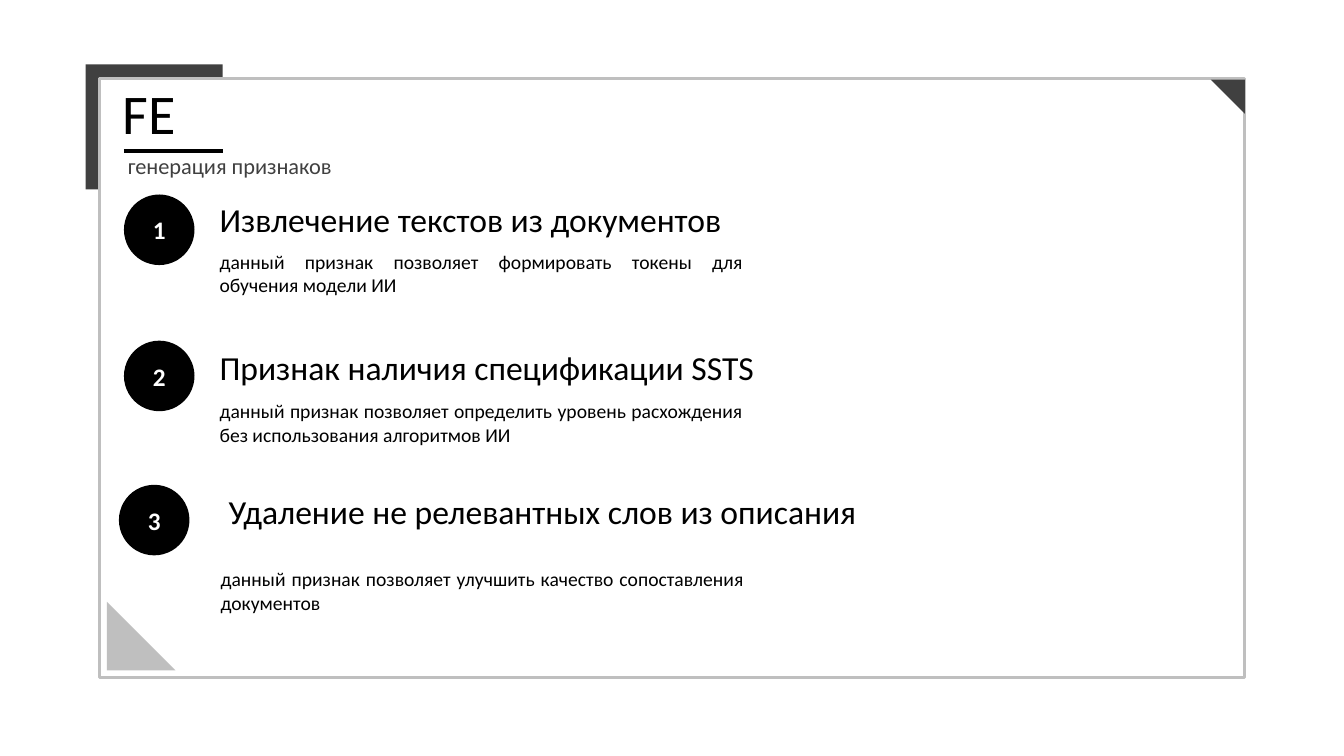
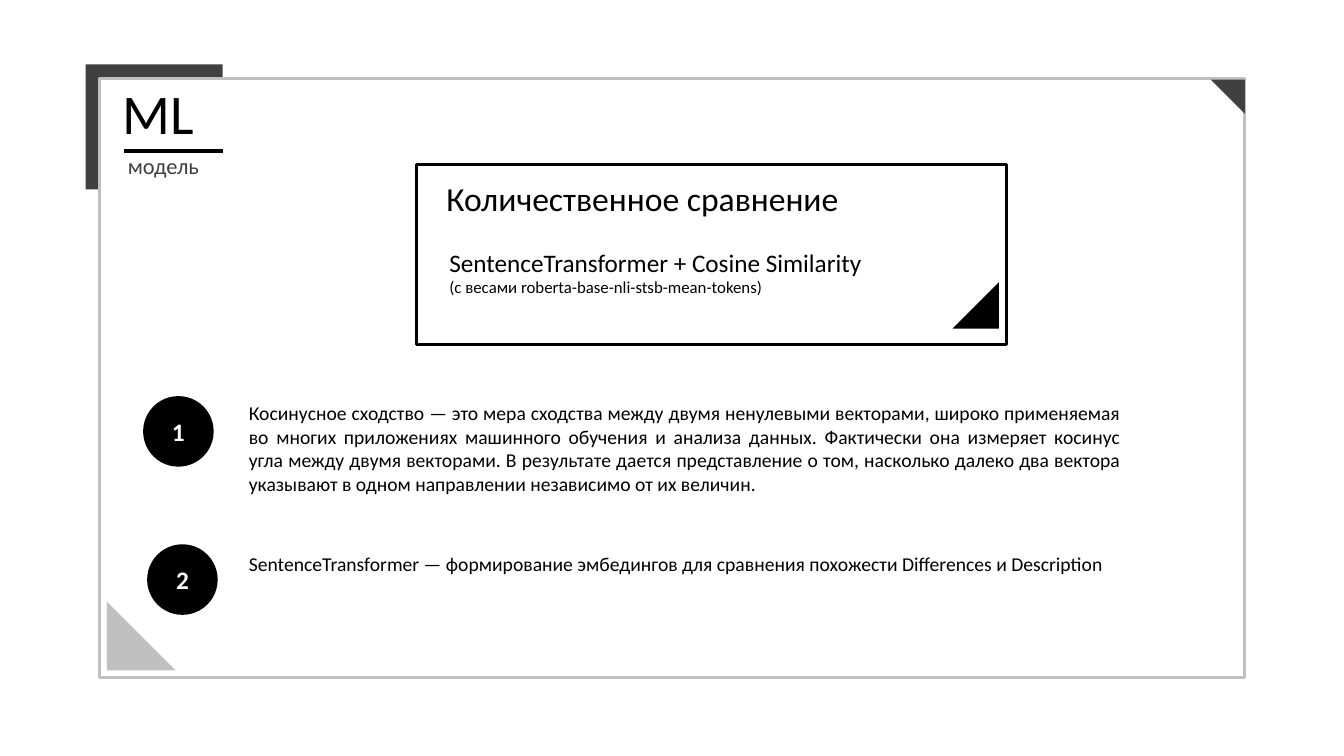
from lxml.etree import SubElement
from pptx import Presentation
from pptx.dml.color import RGBColor
from pptx.enum.shapes import MSO_CONNECTOR, MSO_SHAPE
from pptx.enum.text import MSO_ANCHOR, PP_ALIGN
from pptx.oxml.ns import qn
from pptx.util import Inches, Pt

# Grid of square cells, ten to the inch
COLUMNS, ROWS = 133.33, 75
FONT = "Calibri"
BLACK, WHITE, DARK, LIGHT = "000000", "FFFFFF", "404040", "BFBFBF"
TITLE, HEADING, LEAD, SUBTITLE, BODY, NOTE = 40, 24, 18, 16, 14, 12
BADGE = 7
TITLE_LEFT = 12.3


def cells(count):
    return Inches(count / 10)


def color(hex_code):
    return RGBColor.from_string(hex_code)


def add_span(para, text, size, hex_code=BLACK, bold=False):
    span = para.add_run()
    span.text = text
    span.font.name = FONT
    span.font.size = Pt(size)
    span.font.bold = bold
    span.font.color.rgb = color(hex_code)


def add_text(page, area, lines, hex_code=BLACK, align=PP_ALIGN.LEFT):
    """Add a text box with one paragraph for each (text, size) pair."""
    frame = page.shapes.add_textbox(*map(cells, area)).text_frame
    frame.word_wrap = True
    for index, (text, size) in enumerate(lines):
        para = frame.paragraphs[0] if index == 0 else frame.add_paragraph()
        para.alignment = align
        add_span(para, text, size, hex_code)


def add_figure(page, kind, area, fill, outline=None, rotation=0):
    """Add a flat preset shape, with a 2 pt outline if a colour is given."""
    figure = page.shapes.add_shape(kind, *map(cells, area))
    figure.shadow.inherit = False
    figure.rotation = rotation
    figure.fill.solid()
    figure.fill.fore_color.rgb = color(fill)
    if outline:
        figure.line.color.rgb = color(outline)
        figure.line.width = Pt(2)
    else:
        figure.line.fill.background()
    return figure


def add_corner(page, left, top, side, fill, rotation=0):
    add_figure(page, MSO_SHAPE.RIGHT_TRIANGLE, (left, top, side, side), fill, rotation=rotation)


def add_rule(page, left, right, top):
    rule = page.shapes.add_connector(MSO_CONNECTOR.STRAIGHT, *map(cells, (left, top, right, top)))
    rule.line.color.rgb = color(BLACK)
    rule.line.width = Pt(3)
    SubElement(rule._element.spPr, qn("a:effectLst"))


def add_badge(page, left, top, number):
    badge = add_figure(page, MSO_SHAPE.OVAL, (left, top, BADGE, BADGE), BLACK)
    frame = badge.text_frame
    frame.vertical_anchor = MSO_ANCHOR.MIDDLE
    para = frame.paragraphs[0]
    para.alignment = PP_ALIGN.CENTER
    add_span(para, str(number), LEAD, WHITE, bold=True)


def add_framed_page(deck, title, subtitle):
    """Add a page with the frame, corners and title block that all pages share."""
    page = deck.slides.add_slide(deck.slide_layouts[6])
    add_figure(page, MSO_SHAPE.RECTANGLE, (8.5, 6.4, 13.6, 12.4), DARK)
    add_figure(page, MSO_SHAPE.RECTANGLE, (9.9, 7.8, 113.6, 59.4), WHITE, LIGHT)
    add_corner(page, 10.6, 59.7, 6.8, LIGHT)
    add_corner(page, 120.1, 7.9, 3.4, DARK, rotation=180)
    add_text(page, (11.2, 7.3, 13.4, 7.6), [(title, TITLE)])
    add_rule(page, TITLE_LEFT, 22.1, 15)
    add_text(page, (11.7, 14.6, 31.5, 3.6), [(subtitle, SUBTITLE)], DARK)
    return page


def add_features_page(deck):
    page = add_framed_page(deck, "FE", "генерация признаков")
    features = [
        # badge left, badge top, heading left, heading top, body left, body top, heading, body
        (TITLE_LEFT, 19.3, 20.8, 19.2, 20.8, 24.3, "Извлечение текстов из документов",
         "данный признак позволяет формировать токены для обучения модели ИИ"),
        (TITLE_LEFT, 33.8, 20.8, 33.9, 20.8, 39.1, "Признак наличия спецификации SSTS",
         "данный признак позволяет определить уровень расхождения без использования алгоритмов ИИ"),
        (11.8, 48.1, 21.7, 48.2, 20.9, 55.8, "Удаление не релевантных слов из описания",
         "данный признак позволяет улучшить качество сопоставления документов"),
    ]
    for number, feature in enumerate(features, 1):
        badge_left, badge_top, head_left, head_top, body_left, body_top, heading, body = feature
        add_badge(page, badge_left, badge_top, number)
        add_text(page, (head_left, head_top, 84.6, 5), [(heading, HEADING)], align=PP_ALIGN.JUSTIFY)
        add_text(page, (body_left, body_top, 53.9, 5.6), [(body, BODY)], align=PP_ALIGN.JUSTIFY)


def add_model_page(deck):
    page = add_framed_page(deck, "ML", "модель")
    add_figure(page, MSO_SHAPE.RECTANGLE, (41.3, 16.3, 58.6, 17.9), WHITE, BLACK)
    add_corner(page, 94.5, 28, 4.6, BLACK, rotation=270)
    add_text(page, (43.3, 17.2, 51.2, 5), [("Количественное сравнение", HEADING)])
    add_text(page, (43.6, 24, 53.9, 6), [
        ("SentenceTransformer + Cosine Similarity", LEAD),
        ("(с весами roberta-base-nli-stsb-mean-tokens)", NOTE),
    ], align=PP_ALIGN.JUSTIFY)

    definitions = [
        # badge left, badge top, text top, text height, alignment, text
        (14.2, 39.3, 39.3, 12.6, PP_ALIGN.JUSTIFY,
         "Косинусное сходство — это мера сходства между двумя ненулевыми векторами, "
         "широко применяемая во многих приложениях машинного обучения и анализа данных. "
         "Фактически она измеряет косинус угла между двумя векторами. В результате дается "
         "представление о том, насколько далеко два вектора указывают в одном направлении "
         "независимо от их величин."),
        (14.6, 54, 54.3, 5.6, PP_ALIGN.LEFT,
         "SentenceTransformer — формирование эмбедингов для сравнения похожести "
         "Differences и Description"),
    ]
    for number, definition in enumerate(definitions, 1):
        badge_left, badge_top, text_top, height, align, text = definition
        add_badge(page, badge_left, badge_top, number)
        add_text(page, (23.7, text_top, 88.5, height), [(text, BODY)], align=align)


def main():
    deck = Presentation()
    deck.slide_width, deck.slide_height = cells(COLUMNS), cells(ROWS)
    add_features_page(deck)
    add_model_page(deck)
    deck.save("out.pptx")


if __name__ == "__main__":
    main()
